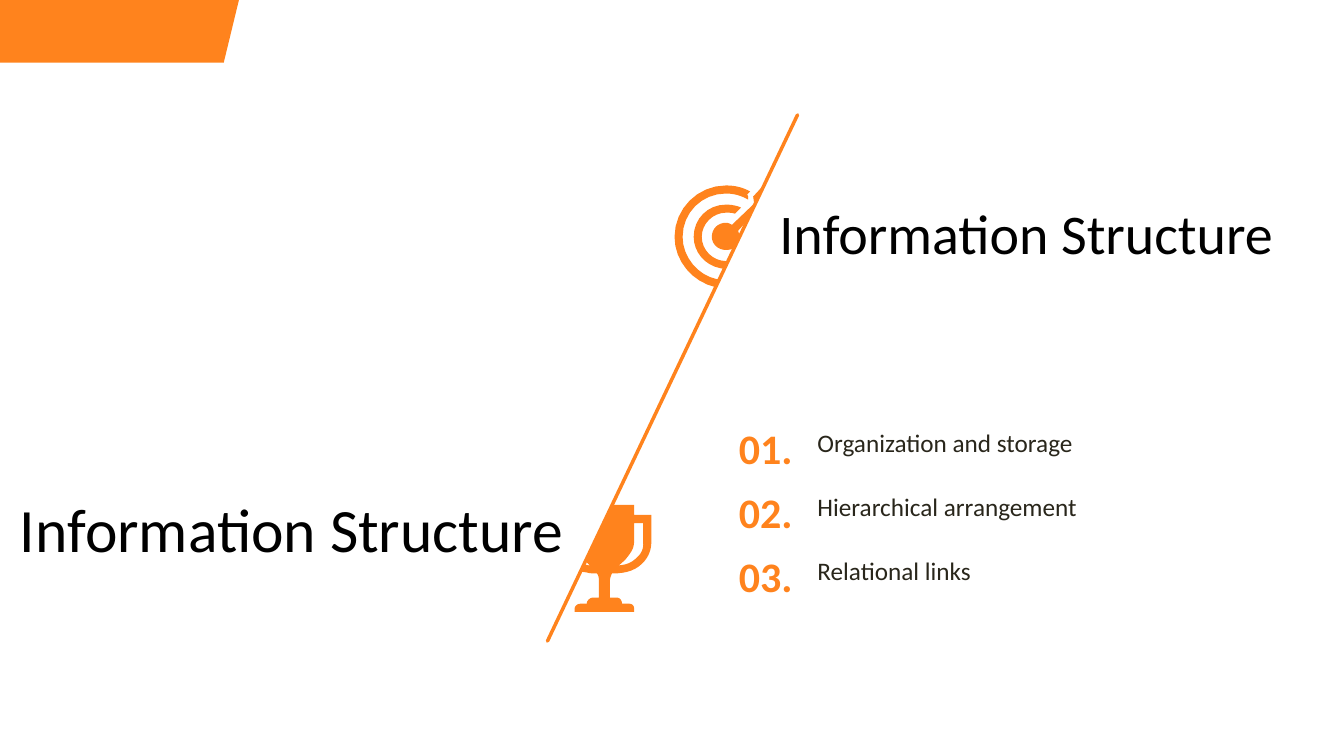
import pptx
import pptx.dml.color
import pptx.enum.shapes
import pptx.enum.text
import pptx.util
from lxml import etree

Inches = pptx.util.Inches
ORANGE = pptx.dml.color.RGBColor(0xFF, 0x83, 0x1D)
BLACK = pptx.dml.color.RGBColor(0x00, 0x00, 0x00)
DARK = pptx.dml.color.RGBColor(0x29, 0x26, 0x1B)
CURVE_STEPS = 8

# Outlines in inches: a start point, then L (line) or C (Bézier curve) segments
CORNER = ["0,0 L 2.37,0 L 2.22,0.62 L 0,0.62"]
TROPHY = [
    "6.29,5.19 L 6.29,5.36 C 6.29,5.41 6.28,5.45 6.25,5.49 C 6.25,5.49 6.23,5.52 6.22,5.53 "
    "C 6.2,5.56 6.17,5.58 6.14,5.61 C 6.24,5.6 6.28,5.57 6.33,5.52 "
    "C 6.39,5.46 6.38,5.39 6.38,5.39 L 6.38,5.19",
    "6.06,5.01 L 6.29,5.01 L 6.29,5.11 L 6.46,5.11 L 6.46,5.39 "
    "C 6.46,5.4 6.46,5.49 6.39,5.57 C 6.32,5.65 6.23,5.69 6.07,5.69 "
    "C 6.06,5.71 6.05,5.74 6.05,5.76 L 6.05,5.93 L 6.12,5.93 "
    "C 6.15,5.93 6.17,5.96 6.17,5.99 L 6.24,5.99 C 6.27,5.99 6.29,6.01 6.29,6.04 "
    "L 6.29,6.07 L 5.7,6.07 L 5.7,6.04 C 5.7,6.01 5.73,5.99 5.76,5.99 L 5.82,5.99 "
    "C 5.82,5.96 5.85,5.93 5.88,5.93 L 5.94,5.93 L 5.94,5.76 "
    "C 5.94,5.74 5.94,5.71 5.92,5.69 C 5.89,5.69 5.85,5.69 5.82,5.68 L 5.75,5.67 "
    "L 5.78,5.6 L 5.79,5.6 C 5.81,5.6 5.83,5.61 5.85,5.61 L 5.8,5.56",
]
TARGET = [
    "7.2,2.03 C 7.25,2.03 7.31,2.04 7.35,2.06 L 7.29,2.12 C 7.26,2.11 7.23,2.11 7.2,2.11 "
    "C 7.07,2.11 6.96,2.22 6.96,2.35 C 6.96,2.48 7.07,2.59 7.2,2.59 L 7.22,2.59 "
    "L 7.19,2.67 L 7.14,2.66 C 6.99,2.63 6.88,2.5 6.88,2.35 C 6.88,2.17 7.02,2.03 7.2,2.03",
    "7.2,1.84 C 7.29,1.84 7.37,1.86 7.44,1.9 L 7.41,1.93 L 7.42,1.95 L 7.42,1.98 "
    "C 7.35,1.94 7.28,1.92 7.2,1.92 C 6.96,1.92 6.77,2.11 6.77,2.35 "
    "C 6.77,2.55 6.92,2.73 7.11,2.77 L 7.14,2.77 L 7.1,2.85 "
    "C 6.87,2.8 6.69,2.59 6.69,2.35 C 6.69,2.07 6.92,1.84 7.2,1.84",
    "7.58,1.83 L 7.41,2.19 L 7.32,2.29 C 7.33,2.31 7.33,2.33 7.33,2.35 L 7.33,2.37 "
    "L 7.29,2.44 C 7.27,2.47 7.24,2.48 7.2,2.48 C 7.12,2.48 7.06,2.42 7.06,2.35 "
    "C 7.06,2.27 7.12,2.21 7.2,2.21 C 7.22,2.21 7.24,2.22 7.26,2.23 "
    "L 7.48,2.02 L 7.47,1.95",
]


def trace(outline):
    """Turn an outline into points, with its curves cut into short lines."""
    points, pending, command = [], [], "L"
    for token in outline.split():
        if token in ("L", "C"):
            command = token
            continue
        pending.append(tuple(float(number) for number in token.split(",")))
        if command == "L":
            points += pending
            pending = []
        elif len(pending) == 3:
            corners = [points[-1]] + pending
            for step in range(1, CURVE_STEPS + 1):
                t = step / CURVE_STEPS
                weights = ((1 - t) ** 3, 3 * t * (1 - t) ** 2, 3 * t * t * (1 - t), t ** 3)
                points.append(tuple(sum(w * corner[axis] for w, corner in zip(weights, corners))
                                    for axis in (0, 1)))
            pending = []
    return [(Inches(x), Inches(y)) for x, y in points]


def write(box, text, size, color, bold=False):
    frame = box.text_frame
    frame.text = text
    frame.word_wrap = True
    frame.auto_size = pptx.enum.text.MSO_AUTO_SIZE.NONE
    frame.vertical_anchor = pptx.enum.text.MSO_ANCHOR.TOP
    frame.paragraphs[0].alignment = pptx.enum.text.PP_ALIGN.LEFT
    font = frame.paragraphs[0].runs[0].font
    font.name = "Calibri"
    font.size = pptx.util.Pt(size)
    font.bold = bold
    font.color.rgb = color


deck = pptx.Presentation()
deck.slide_width = Inches(13.33)
deck.slide_height = Inches(7.5)
slide = deck.slides.add_slide(deck.slide_layouts[5])

# Corner band and icons
for outlines in (CORNER, TROPHY, TARGET):
    builder = None
    for outline in outlines:
        start, *rest = trace(outline)
        if builder is None:
            builder = slide.shapes.build_freeform(*start)
        else:
            builder.move_to(*start)
        builder.add_line_segments(rest, close=True)
    figure = builder.convert_to_shape()
    figure.shadow.inherit = False
    figure.fill.solid()
    figure.fill.fore_color.rgb = ORANGE
    figure.line.fill.background()

# Diagonal divider
divider = slide.shapes.add_connector(
    pptx.enum.shapes.MSO_CONNECTOR.STRAIGHT,
    Inches(5.43), Inches(6.36), Inches(7.91), Inches(1.14))
divider.line.color.rgb = ORANGE
divider.line.width = pptx.util.Pt(2.5)
divider.line._get_or_add_ln().set("cap", "rnd")
etree.SubElement(divider._element.spPr, pptx.oxml.ns.qn("a:effectLst"))

# Headings
heading = slide.shapes.title
heading.left, heading.top = Inches(7.63), Inches(1.92)
heading.width, heading.height = Inches(5.26), Inches(0.77)
write(heading, "Information Structure", 40, BLACK)
lower_heading = slide.shapes.add_textbox(Inches(0.1), Inches(4.82), Inches(5.77), Inches(0.84))
write(lower_heading, "Information Structure", 44, BLACK)

# Numbered topics
topics = ["Organization and storage", "Hierarchical arrangement", "Relational links"]
for index, topic in enumerate(topics):
    top = 4.14 + index * 0.635
    row = slide.shapes.add_group_shape()
    label = row.shapes.add_textbox(Inches(8.01), Inches(top + 0.05), Inches(3.8), Inches(0.4))
    write(label, topic, 18, DARK)
    number = row.shapes.add_textbox(Inches(7.23), Inches(top), Inches(0.79), Inches(0.61))
    write(number, f"{index + 1:02d}.", 30, ORANGE, bold=True)

deck.save("out.pptx")
